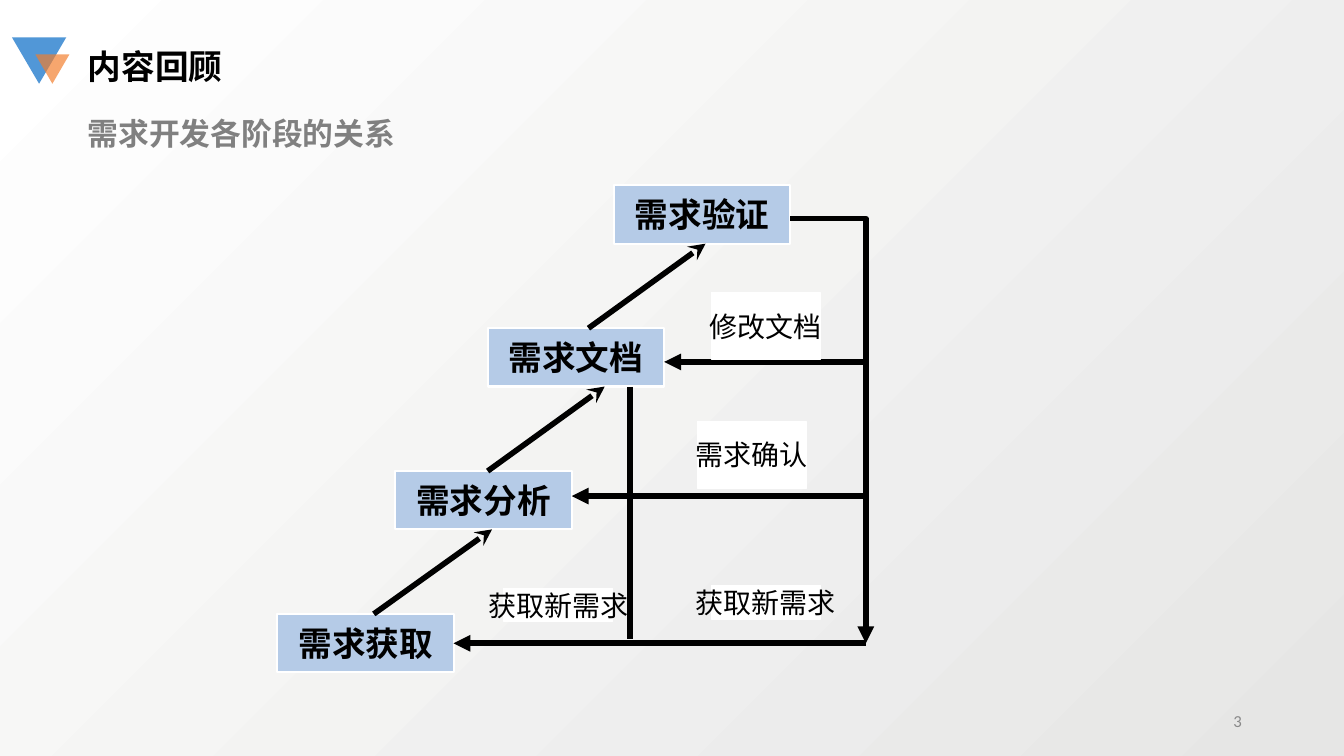
from dataclasses import dataclass

from lxml import etree
from pptx import Presentation
from pptx.dml.color import RGBColor
from pptx.enum.shapes import MSO_CONNECTOR, MSO_SHAPE
from pptx.enum.text import MSO_ANCHOR, MSO_AUTO_SIZE, PP_ALIGN
from pptx.oxml.ns import qn
from pptx.util import Cm, Pt

RECTANGLE, TRIANGLE = MSO_SHAPE.RECTANGLE, MSO_SHAPE.ISOSCELES_TRIANGLE
STRAIGHT, ELBOW = MSO_CONNECTOR.STRAIGHT, MSO_CONNECTOR.ELBOW
LEFT, CENTER, RIGHT = PP_ALIGN.LEFT, PP_ALIGN.CENTER, PP_ALIGN.RIGHT
TOP, MIDDLE = MSO_ANCHOR.TOP, MSO_ANCHOR.MIDDLE
TITLE_ONLY = 5


@dataclass(frozen=True)
class Theme:
    black: str = "000000"
    white: str = "FFFFFF"
    shade: str = "E6E6E5"
    stage: str = "B5CBE7"
    blue: str = "5197D7"
    orange: str = "F37D2A"
    subtitle: str = "808080"
    number: str = "898989"
    heading_font: str = "Noto Sans CJK SC"
    body_font: str = "Calibri"
    title_size: int = 24
    subtitle_size: int = 22
    label_size: int = 20
    number_size: int = 12
    arrow_width: float = 4


THEME = Theme()


@dataclass(frozen=True)
class TextStyle:
    size: int
    color: str
    bold: bool = False
    font: str = THEME.body_font
    align: PP_ALIGN = CENTER
    anchor: MSO_ANCHOR = MIDDLE
    wrap: bool = False


TITLE = TextStyle(THEME.title_size, THEME.black, True, THEME.heading_font, LEFT, TOP, True)
SUBTITLE = TextStyle(THEME.subtitle_size, THEME.subtitle, True, THEME.heading_font, LEFT, TOP, True)
STAGE = TextStyle(THEME.title_size, THEME.black, True)
LABEL = TextStyle(THEME.label_size, THEME.black)
NUMBER = TextStyle(THEME.number_size, THEME.number, align=RIGHT, wrap=True)


@dataclass(frozen=True)
class Box:
    left: float
    top: float
    width: float
    height: float
    text: str = ""

    def lengths(self) -> list:
        return [Cm(value) for value in (self.left, self.top, self.width, self.height)]


@dataclass(frozen=True)
class Arrow:
    start: tuple[float, float]
    end: tuple[float, float]
    head: str = "triangle"
    kind: MSO_CONNECTOR = STRAIGHT


# Stages climb to the right at an equal vertical pitch
STAGE_WIDTH, STAGE_HEIGHT, STAGE_PITCH, FIRST_TOP = 4.45, 1.47, 3.6, 15.47
STAGES = [
    Box(left, FIRST_TOP - index * STAGE_PITCH, STAGE_WIDTH, STAGE_HEIGHT, text)
    for index, (left, text) in enumerate(
        [(6.99, "需求获取"), (9.96, "需求分析"), (12.29, "需求文档"), (15.47, "需求验证")])
]
STEPS = [
    Arrow((start, lower.top), (end, upper.top + STAGE_HEIGHT), "stealth")
    for lower, upper, (start, end) in zip(
        STAGES, STAGES[1:], [(9.42, 12.4), (12.29, 15.24), (14.83, 17.78)])
]

# Feedback lines return from the right-hand rail
RAIL, FLOOR = 21.82, 16.21
RETURNS = [
    Arrow((19.92, 5.51), (RAIL, FLOOR), kind=ELBOW),
    Arrow((RAIL, FLOOR), (11.43, FLOOR)),
    Arrow((15.88, 9.75), (15.88, 16.1), head=""),
    Arrow((RAIL, 9.12), (16.74, 9.12)),
    Arrow((RAIL, 12.5), (14.41, 12.5)),
]
LABELS = [
    Box(12.7, 14.83, 2.74, 0.84, "获取新需求"),
    Box(17.93, 14.76, 2.74, 0.84, "获取新需求"),
    Box(17.58, 10.62, 2.74, 1.68, "需求确认"),
    Box(17.93, 7.37, 2.74, 1.68, "修改文档"),
]


def set_attributes(target, values: dict) -> None:
    for name, value in values.items():
        setattr(target, name, value)


def write_text(shape, text: str, style: TextStyle) -> None:
    frame = shape.text_frame
    set_attributes(frame, {"word_wrap": style.wrap, "vertical_anchor": style.anchor,
                           "auto_size": MSO_AUTO_SIZE.NONE})
    paragraph = frame.paragraphs[0]
    paragraph.alignment = style.align
    run = paragraph.add_run()
    run.text = text
    set_attributes(run.font, {"name": style.font, "size": Pt(style.size), "bold": style.bold})
    run.font.color.rgb = RGBColor.from_string(style.color)
    east_asian = etree.SubElement(run.font._element, qn("a:ea"))
    east_asian.set("typeface", THEME.heading_font)


def add_block(slide, kind: MSO_SHAPE, box: Box, fill: str, border: float = 0):
    shape = slide.shapes.add_shape(kind, *box.lengths())
    shape.shadow.inherit = False
    shape.fill.solid()
    shape.fill.fore_color.rgb = RGBColor.from_string(fill)
    if border:
        shape.line.color.rgb = RGBColor.from_string(THEME.white)
        shape.line.width = Pt(border)
    else:
        shape.line.fill.background()
    return shape


def add_text(slide, box: Box, style: TextStyle) -> None:
    write_text(slide.shapes.add_textbox(*box.lengths()), box.text, style)


def add_arrow(slide, arrow: Arrow) -> None:
    points = [Cm(value) for value in (*arrow.start, *arrow.end)]
    connector = slide.shapes.add_connector(arrow.kind, *points)
    connector.line.color.rgb = RGBColor.from_string(THEME.black)
    connector.line.width = Pt(THEME.arrow_width)
    properties = connector._element.spPr
    if arrow.kind == ELBOW:
        properties.find(qn("a:prstGeom")).set("prst", "bentConnector2")
    if arrow.head:
        etree.SubElement(properties.find(qn("a:ln")), qn("a:tailEnd")).set("type", arrow.head)
    etree.SubElement(properties, qn("a:effectLst"))


def add_background(slide) -> None:
    fill = slide.background.fill
    fill.gradient()
    fill.gradient_angle = 135
    for stop, position, color in zip(fill.gradient_stops, (0, 1), (THEME.shade, THEME.white)):
        stop.position = position
        stop.color.rgb = RGBColor.from_string(color)


def add_heading(slide) -> None:
    # Corner triangles, the front one translucent
    blue = add_block(slide, TRIANGLE, Box(0.3, 0.94, 1.37, 1.17), THEME.blue)
    orange = add_block(slide, TRIANGLE, Box(0.89, 1.37, 0.86, 0.74), THEME.orange)
    blue.rotation = orange.rotation = 180
    color = orange._element.spPr.find(qn("a:solidFill"))[0]
    etree.SubElement(color, qn("a:alpha")).set("val", "68000")

    # Title and subtitle
    title_box = Box(1.96, 1.02, 8.94, 1.27, "内容回顾")
    title = slide.shapes.title
    set_attributes(title, dict(zip(("left", "top", "width", "height"), title_box.lengths())))
    write_text(title, title_box.text, TITLE)
    add_text(slide, Box(1.96, 2.77, 11.63, 1.19, "需求开发各阶段的关系"), SUBTITLE)


def main() -> None:
    presentation = Presentation()
    set_attributes(presentation, {"slide_width": Cm(33.87), "slide_height": Cm(19.05)})
    slide = presentation.slides.add_slide(presentation.slide_layouts[TITLE_ONLY])
    add_background(slide)
    add_heading(slide)

    # Diagram: stages, then lines, then the labels above them
    for stage in STAGES:
        write_text(add_block(slide, RECTANGLE, stage, THEME.stage, 1.5), stage.text, STAGE)
    for arrow in STEPS + RETURNS:
        add_arrow(slide, arrow)
    for label in LABELS:
        write_text(add_block(slide, RECTANGLE, label, THEME.white, 0.75), label.text, LABEL)

    # Page number
    add_text(slide, Box(23.93, 17.65, 7.62, 1.02, "3"), NUMBER)
    presentation.save("out.pptx")


if __name__ == "__main__":
    main()
